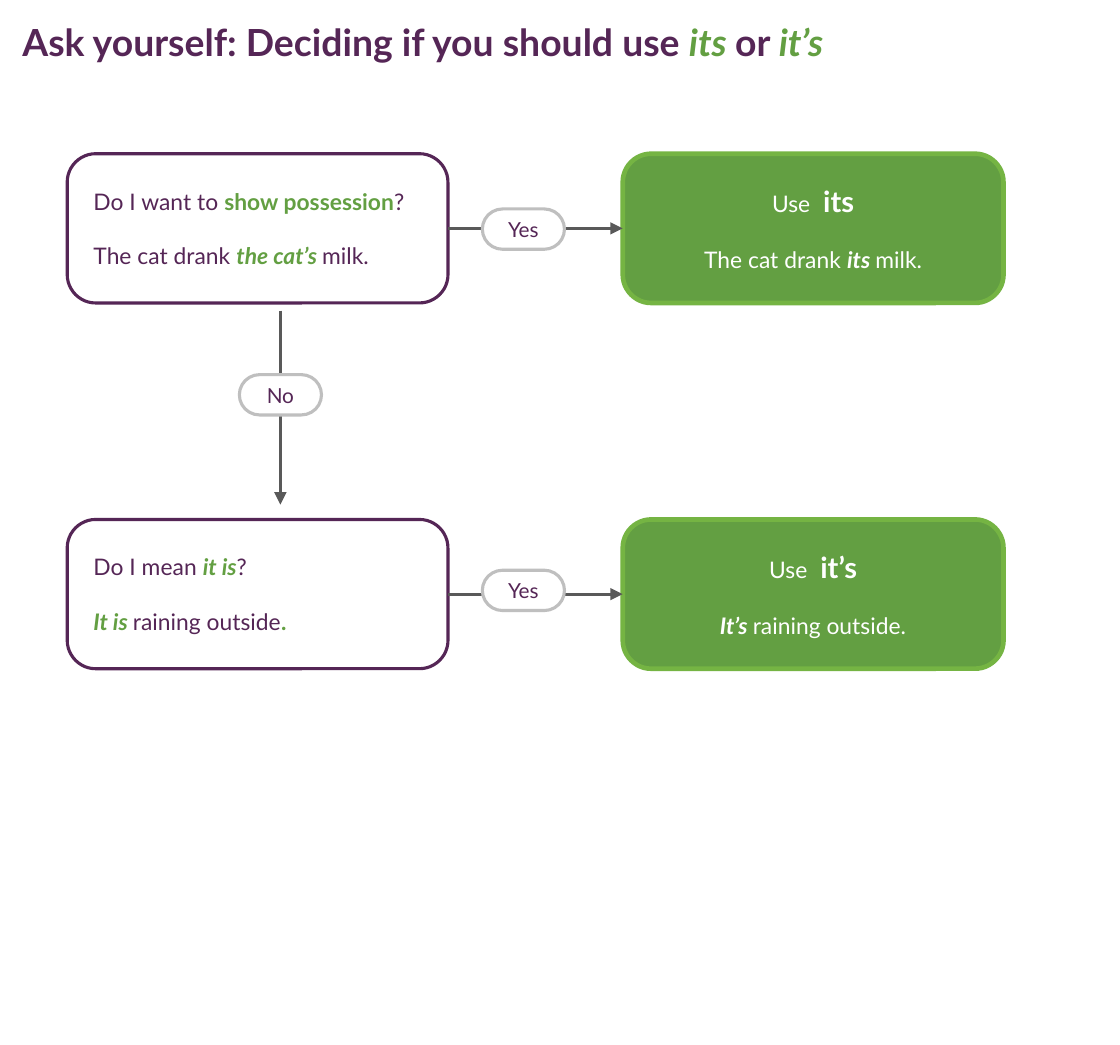
"""Build a decision flow slide for choosing between its and it's."""
from dataclasses import dataclass

from lxml import etree
from pptx import Presentation
from pptx.dml.color import RGBColor
from pptx.enum.shapes import MSO_CONNECTOR, MSO_SHAPE
from pptx.enum.text import MSO_ANCHOR, PP_ALIGN
from pptx.oxml.ns import qn
from pptx.util import Pt

STRAIGHT = MSO_CONNECTOR.STRAIGHT
ROUNDED = MSO_SHAPE.ROUNDED_RECTANGLE
MIDDLE, TOP = MSO_ANCHOR.MIDDLE, MSO_ANCHOR.TOP
LEFT, CENTER = PP_ALIGN.LEFT, PP_ALIGN.CENTER
LEFT_SIDE, RIGHT_SIDE = 1, 3


@dataclass(frozen=True)
class Theme:
    font: str = "Lato"
    purple: str = "552656"
    green: str = "639F42"
    light_green: str = "75B443"
    white: str = "FFFFFF"
    gray: str = "595959"
    light_gray: str = "BFBFBF"
    title_size: float = 18
    answer_size: float = 14
    body_size: float = 11
    label_size: float = 10
    paragraph_gap: float = 13.2


THEME = Theme()
INSET = 8.64
BOX_WIDTH, BOX_HEIGHT = 183.6, 72
QUESTION_LEFT, ANSWER_LEFT = 32.4, 300.24
LABEL_WIDTH, LABEL_HEIGHT = 39.6, 19.44
YES_LEFT = 232.56
NO_CENTER = 135.2

PLAIN = {"size": THEME.body_size, "color": THEME.purple}
STRONG = {**PLAIN, "color": THEME.green, "bold": True}
STRONG_ITALIC = {**STRONG, "italic": True}
ANSWER = {**PLAIN, "color": THEME.white}
ANSWER_WORD = {**ANSWER, "size": THEME.answer_size, "bold": True}
ANSWER_STRONG = {**ANSWER, "bold": True, "italic": True}
LABEL = {**PLAIN, "size": THEME.label_size}
TITLE = {**PLAIN, "size": THEME.title_size, "bold": True}
TITLE_WORD = {**TITLE, "color": THEME.green, "italic": True}

QUESTION_FRAME = {"fill": THEME.white, "line": THEME.purple, "width": 1.5, "round": 0.191}
ANSWER_FRAME = {"fill": THEME.green, "line": THEME.light_green, "width": 2.25, "round": 0.191}
LABEL_FRAME = {"fill": THEME.white, "line": THEME.light_gray, "width": 1.5, "round": 0.5}

TITLE_TEXT = [[("Ask yourself: Deciding if you should use ", TITLE), ("its ", TITLE_WORD),
               ("or ", TITLE), ("it’s", TITLE_WORD)]]
STEPS = [
    {
        "top": 74.16,
        "yes_top": 100.8,
        "question": [
            [("Do I want to ", PLAIN), ("show possession", STRONG), ("?", PLAIN)],
            [("The cat drank ", PLAIN), ("the cat’s ", STRONG_ITALIC), ("milk.", PLAIN)],
        ],
        "answer": [
            [("Use ", ANSWER), (" its", ANSWER_WORD)],
            [("The cat drank ", ANSWER), ("its ", ANSWER_STRONG), ("milk.", ANSWER)],
        ],
    },
    {
        "top": 250.56,
        "yes_top": 275.04,
        "question": [
            [("Do I mean ", PLAIN), ("it is", STRONG_ITALIC), ("?", PLAIN)],
            [("It is ", STRONG_ITALIC), ("raining outside", PLAIN), (".", STRONG)],
        ],
        "answer": [
            [("Use ", ANSWER), (" it’s", ANSWER_WORD)],
            [("It’s ", ANSWER_STRONG), ("raining outside.", ANSWER)],
        ],
    },
]


def write_text(shape, paragraphs, align, anchor, inset_x, inset_y):
    """Fill a shape with formatted paragraphs."""
    frame = shape.text_frame
    layout = {"word_wrap": True, "vertical_anchor": anchor,
              "margin_left": Pt(inset_x), "margin_right": Pt(inset_x),
              "margin_top": Pt(inset_y), "margin_bottom": Pt(inset_y)}
    for name, value in layout.items():
        setattr(frame, name, value)
    for index, runs in enumerate(paragraphs):
        paragraph = frame.add_paragraph() if index else frame.paragraphs[0]
        paragraph.alignment = align
        if index:
            paragraph.space_before = Pt(THEME.paragraph_gap)
        for words, style in runs:
            run = paragraph.add_run()
            run.text = words
            run.font.color.rgb = RGBColor.from_string(style["color"])
            font_format = {"name": THEME.font, "size": Pt(style["size"]),
                           "bold": style.get("bold", False),
                           "italic": style.get("italic", False)}
            for name, value in font_format.items():
                setattr(run.font, name, value)


def add_title(slide):
    """Add the slide heading."""
    heading = slide.shapes.add_textbox(Pt(2.16), Pt(0.72), Pt(442.8), Pt(42.48))
    write_text(heading, TITLE_TEXT, LEFT, TOP, INSET, INSET)


def add_frame(slide, left, top, width, height, look):
    """Add a rounded rectangle with the given look."""
    frame = slide.shapes.add_shape(ROUNDED, Pt(left), Pt(top), Pt(width), Pt(height))
    frame.adjustments[0] = look["round"]
    frame.shadow.inherit = False
    frame.fill.solid()
    frame.fill.fore_color.rgb = RGBColor.from_string(look["fill"])
    frame.line.color.rgb = RGBColor.from_string(look["line"])
    frame.line.width = Pt(look["width"])
    return frame


def add_box(slide, left, top, look, paragraphs, align):
    """Add a question or answer box."""
    box = add_frame(slide, left, top, BOX_WIDTH, BOX_HEIGHT, look)
    write_text(box, paragraphs, align, MIDDLE, INSET if align == CENTER else INSET / 2, 0)
    if align == LEFT:
        box.text_frame.margin_left, box.text_frame.margin_right = Pt(INSET), 0
    return box


def add_label(slide, left, top, word):
    """Add a pill that names a branch."""
    pill = add_frame(slide, left, top, LABEL_WIDTH, LABEL_HEIGHT, LABEL_FRAME)
    write_text(pill, [[(word, LABEL)]], CENTER, MIDDLE, 0, 0)


def add_arrow(slide, start=(0, 0), end=(0, 0)):
    """Add a straight arrow between two points."""
    arrow = slide.shapes.add_connector(STRAIGHT, *(Pt(value) for value in (*start, *end)))
    arrow.line.color.rgb = RGBColor.from_string(THEME.gray)
    arrow.line.width = Pt(1.5)
    etree.SubElement(arrow.line._get_or_add_ln(), qn("a:tailEnd"), type="triangle")
    etree.SubElement(arrow._element.spPr, qn("a:effectLst"))
    return arrow


def add_step(slide, step):
    """Add a question, its answer and the yes branch between them."""
    question = add_box(slide, QUESTION_LEFT, step["top"], QUESTION_FRAME, step["question"], LEFT)
    answer = add_box(slide, ANSWER_LEFT, step["top"], ANSWER_FRAME, step["answer"], CENTER)
    yes_arrow = add_arrow(slide)
    yes_arrow.begin_connect(question, RIGHT_SIDE)
    yes_arrow.end_connect(answer, LEFT_SIDE)
    add_label(slide, YES_LEFT, step["yes_top"], "Yes")


def main():
    """Build and save the slide."""
    deck = Presentation()
    deck.slide_width, deck.slide_height = Pt(540), Pt(504)
    slide = deck.slides.add_slide(deck.slide_layouts[6])
    add_title(slide)
    for step in STEPS:
        add_step(slide, step)
    add_arrow(slide, (NO_CENTER, 149.76), (NO_CENTER, 243.36))
    add_label(slide, NO_CENTER - LABEL_WIDTH / 2, 180.72, "No")
    deck.save("out.pptx")


if __name__ == "__main__":
    main()
